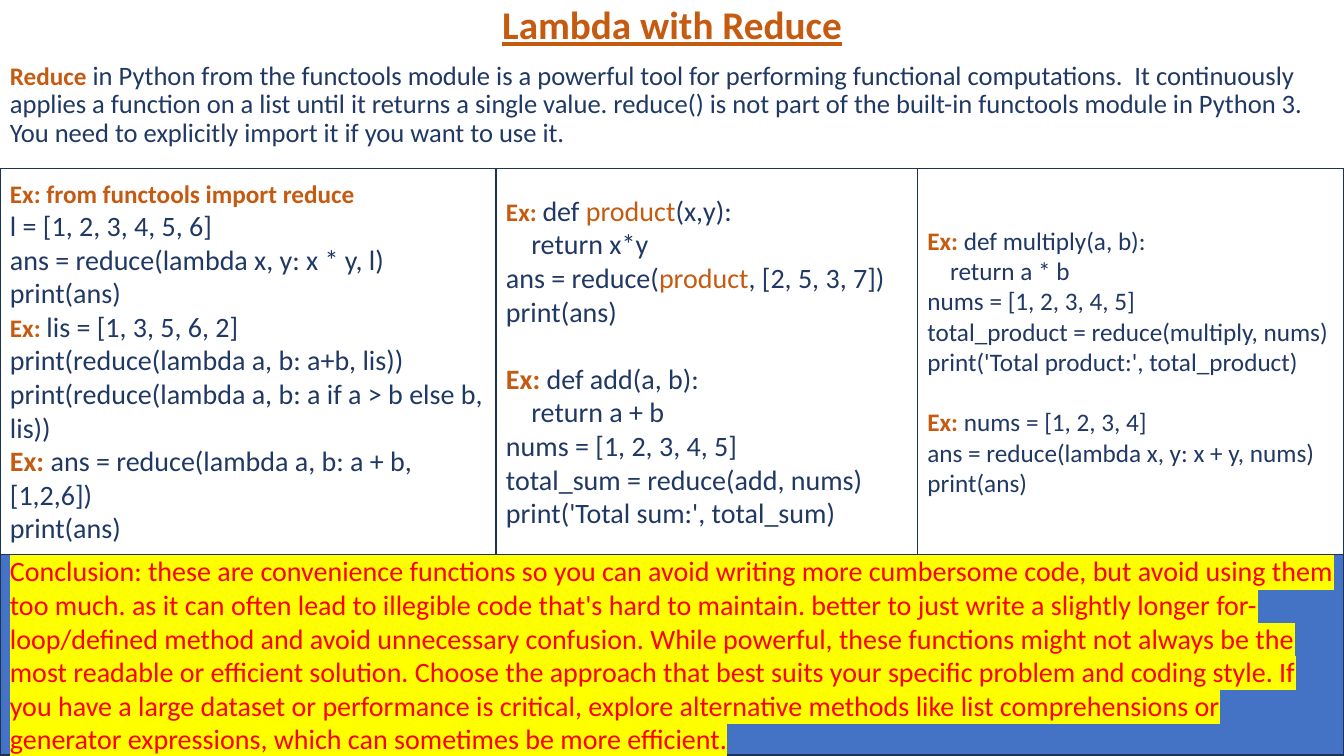
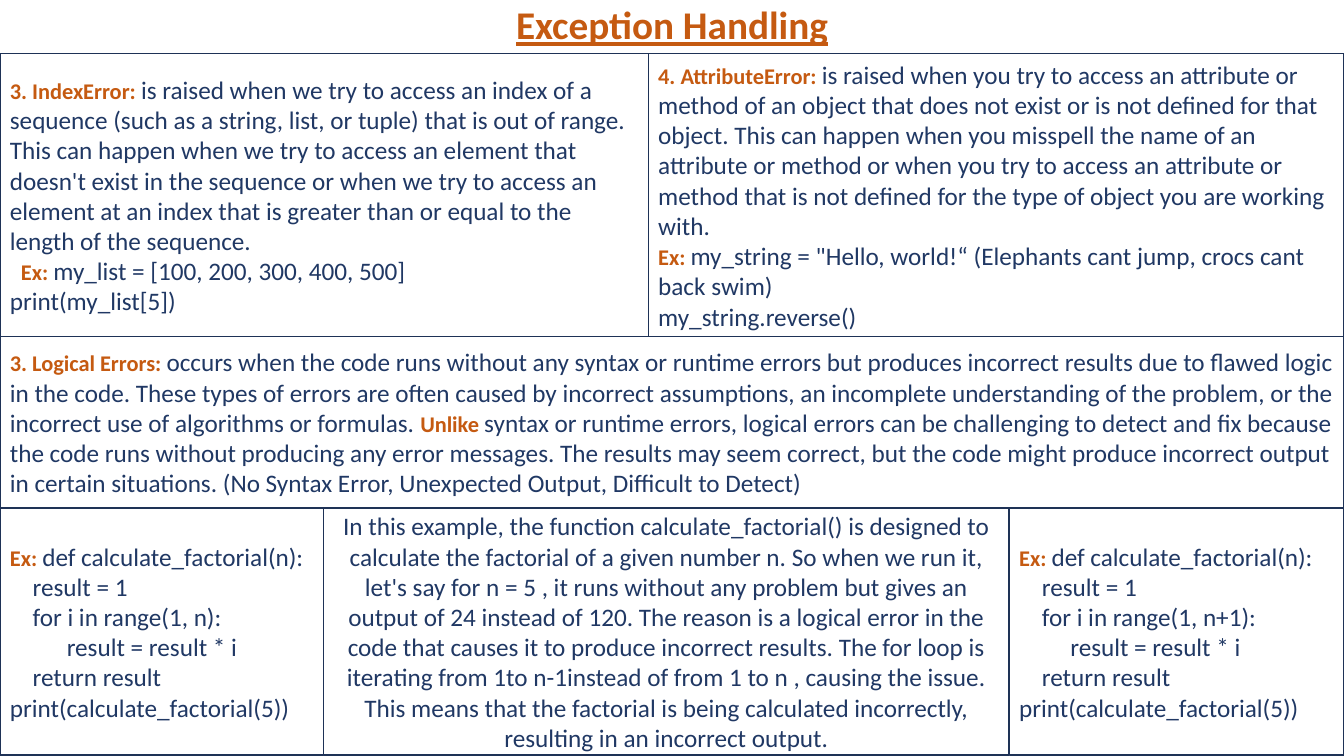
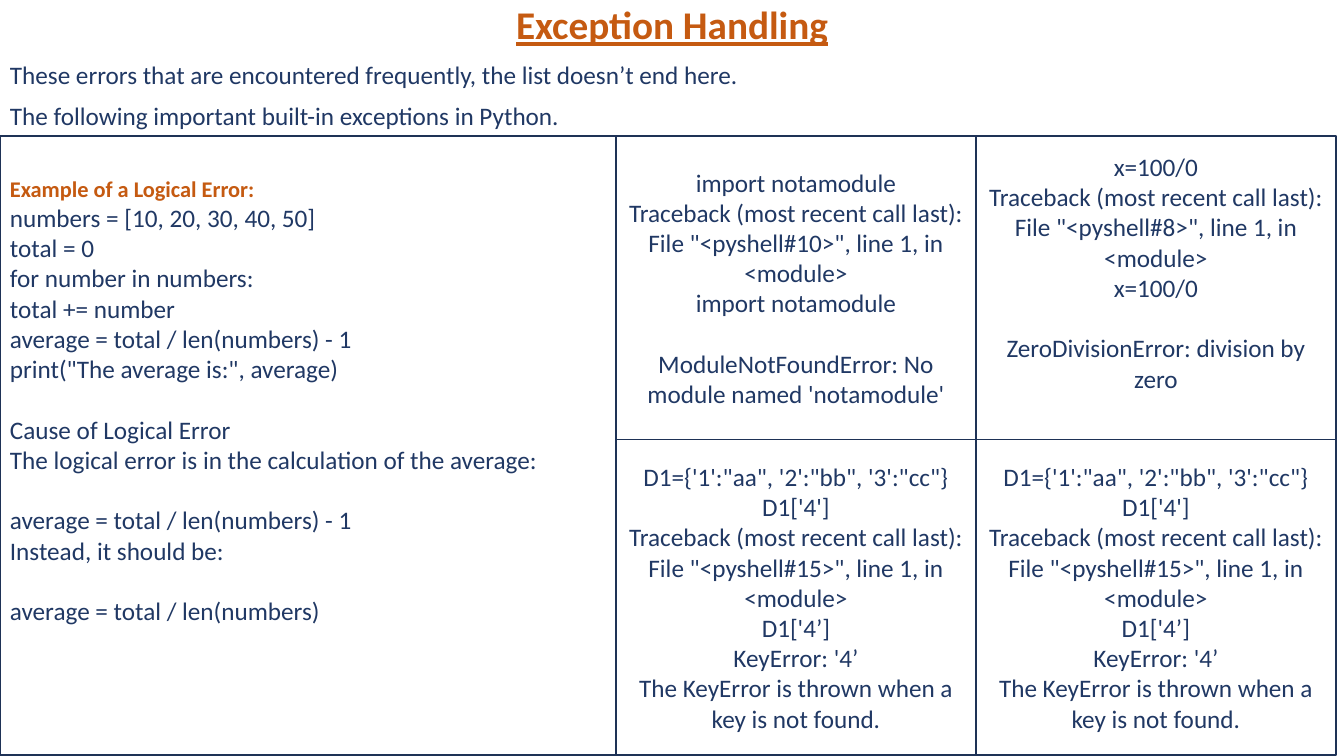
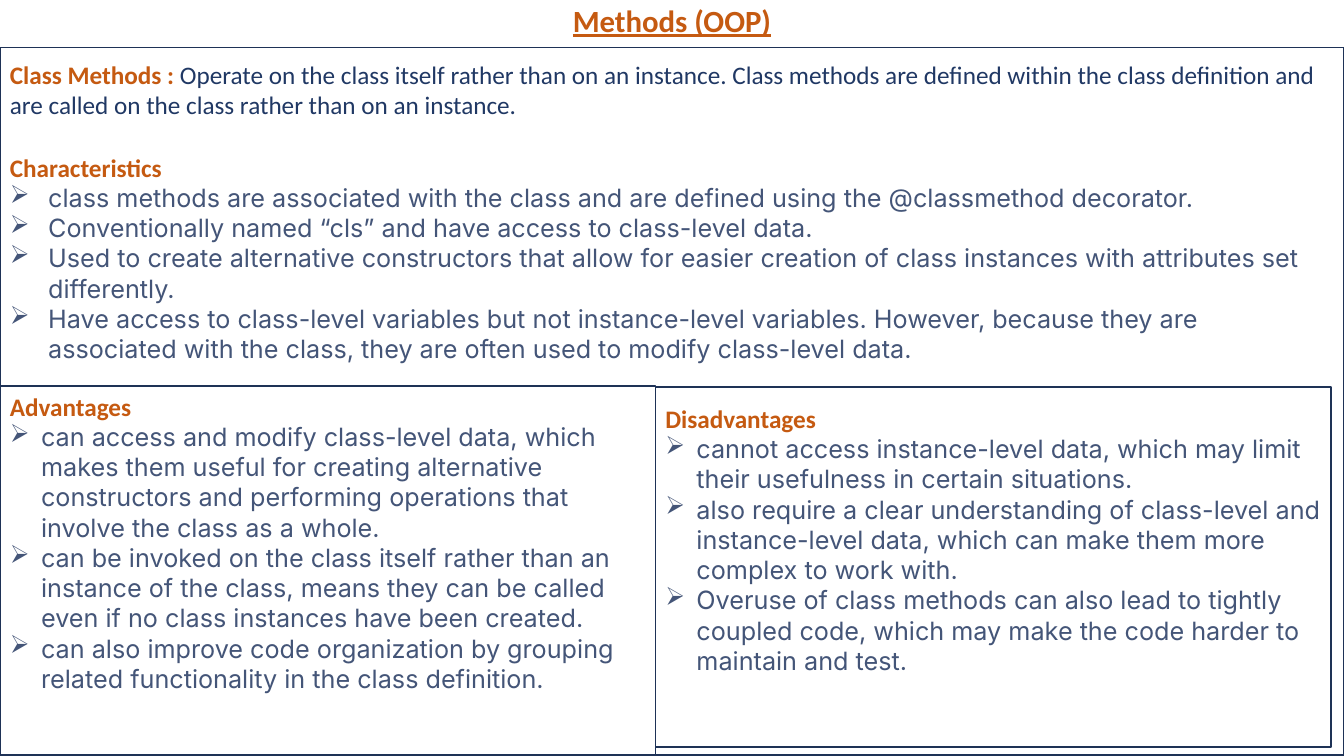
from dataclasses import dataclass

from lxml import etree
from pptx import Presentation
from pptx.dml.color import RGBColor
from pptx.enum.shapes import MSO_SHAPE
from pptx.enum.text import MSO_ANCHOR, PP_ALIGN
from pptx.oxml.ns import qn
from pptx.util import Inches, Pt

RECTANGLE = MSO_SHAPE.RECTANGLE
TOP, MIDDLE = MSO_ANCHOR.TOP, MSO_ANCHOR.MIDDLE
LEFT, CENTER = PP_ALIGN.LEFT, PP_ALIGN.CENTER

WHITE = RGBColor(0xFF, 0xFF, 0xFF)
ORANGE = RGBColor(0xC5, 0x5A, 0x11)
NAVY = RGBColor(0x20, 0x38, 0x64)
SLATE = RGBColor(0x44, 0x55, 0x78)
BORDER = RGBColor(0x1E, 0x32, 0x56)
BLUE = RGBColor(0x44, 0x72, 0xC4)
RED = RGBColor(0xFF, 0x00, 0x00)
YELLOW = RGBColor(0xFF, 0xFF, 0x00)

WIDTH, HEIGHT = 13.33, 7.5
LINE_PITCH = 1.2


@dataclass(frozen=True)
class Style:
    size: int
    color: RGBColor = NAVY
    bold: bool = False
    font: str = "Calibri"
    underline: bool = False
    highlight: RGBColor = None


BODY18, BODY19, BODY20 = Style(18), Style(19), Style(20)
LABEL16, LABEL18, LABEL20 = (Style(size, ORANGE, True) for size in (16, 18, 20))
ACCENT20 = Style(20, ORANGE)
POINT = Style(18, SLATE, font="Inter")
WARNING = Style(20, RED, highlight=YELLOW)
EX16, EX18, EX20 = (("Ex: ", label) for label in (LABEL16, LABEL18, LABEL20))


@dataclass
class Para:
    """Runs of (text, style); gap is the space before in points."""
    runs: list
    gap: float = 0
    indent: float = 0
    bullet: str = ""
    align: int = LEFT
    spacing: float = 1.0


def lines(text, style=BODY18, align=LEFT):
    return [Para([(line, style)], align=align) for line in text.split("\n")]


def after_blank(paras, size=18):
    """Set a group of paragraphs one line of the given size apart."""
    paras[0].gap = size * LINE_PITCH
    return paras


def points(texts, indent):
    return [Para([(text, POINT)], indent=indent, bullet="➢") for text in texts]


def write_run(paragraph, text, style):
    run = paragraph.add_run()
    run.text = text
    font = run.font
    font.name, font.size = style.font, Pt(style.size)
    font.bold, font.underline = style.bold, style.underline
    font.color.rgb = style.color
    if style.highlight is not None:
        highlight = etree.Element(qn("a:highlight"))
        etree.SubElement(highlight, qn("a:srgbClr"), val=str(style.highlight))
        run._r.rPr.find(qn("a:solidFill")).addnext(highlight)


def write_paras(frame, paras):
    frame.word_wrap = True
    for number, para in enumerate(paras):
        paragraph = frame.add_paragraph() if number else frame.paragraphs[0]
        properties = paragraph._p.get_or_add_pPr()
        if para.indent:
            properties.set("marL", str(Inches(para.indent)))
        if para.bullet:
            properties.set("indent", str(-Inches(para.indent)))
            etree.SubElement(properties, qn("a:buChar"), char=para.bullet)
        paragraph.alignment = para.align
        paragraph.line_spacing = para.spacing
        if number and para.gap:
            paragraph.space_before = Pt(para.gap)
        for text, style in para.runs:
            write_run(paragraph, text, style)


def add_header(slide, title, height, intro=(), size=28):
    header = slide.shapes.add_textbox(0, Inches(0.01), Inches(WIDTH), Inches(height))
    title_style = Style(size, ORANGE, True, underline=True)
    write_paras(header.text_frame, [
        Para([(title, title_style)], align=CENTER, spacing=0.9),
        *(Para(runs, gap=10, spacing=0.9) for runs in intro),
    ])


def add_panel(slide, left, top, width, height, paras, inset=None, fill=WHITE):
    """Bordered box; its text is centred vertically unless a top inset is given."""
    panel = slide.shapes.add_shape(
        RECTANGLE, Inches(left), Inches(top), Inches(width), Inches(height))
    panel.shadow.inherit = False
    panel.fill.solid()
    panel.fill.fore_color.rgb = fill
    panel.line.color.rgb = BORDER
    panel.line.width = Pt(1)
    frame = panel.text_frame
    frame.vertical_anchor = MIDDLE
    if inset is not None:
        frame.vertical_anchor = TOP
        frame.margin_top = Inches(inset)
    write_paras(frame, paras)


def add_row(slide, top, height, cells, left=0):
    """Place panels edge to edge from (width, paragraphs) pairs."""
    for width, paras in cells:
        add_panel(slide, left, top, width, height, paras)
        left += width


def build_reduce(slide):
    add_header(slide, "Lambda with Reduce", 1.6, [[
        ("Reduce", LABEL18),
        (" in Python from the functools module is a powerful tool for performing "
         "functional computations.  It continuously applies a function on a list until "
         "it returns a single value. reduce() is not part of the built-in functools "
         "module in Python 3. You need to explicitly import it if you want to use it.",
         BODY19),
    ]])
    lambdas = [
        Para([("Ex: from functools import reduce", LABEL18)]),
        *lines("l = [1, 2, 3, 4, 5, 6]\n"
               "ans = reduce(lambda x, y: x * y, l)\n"
               "print(ans)", BODY20),
        Para([EX18, ("lis = [1, 3, 5, 6, 2]", BODY20)]),
        *lines("print(reduce(lambda a, b: a+b, lis))\n"
               "print(reduce(lambda a, b: a if a > b else b, lis))", BODY20),
        Para([EX20, ("ans = reduce(lambda a, b: a + b, [1,2,6])", BODY20)]),
        *lines("print(ans)", BODY20),
    ]
    named_functions = [
        Para([EX18, ("def ", BODY20), ("product", ACCENT20), ("(x,y):", BODY20)]),
        *lines("    return x*y", BODY20),
        Para([("ans = reduce(", BODY20), ("product", ACCENT20),
              (", [2, 5, 3, 7])", BODY20)]),
        *lines("print(ans)", BODY20),
        *after_blank([Para([EX20, ("def add(a, b):", BODY20)])], 20),
        *lines("    return a + b\n"
               "nums = [1, 2, 3, 4, 5]\n"
               "total_sum = reduce(add, nums)\n"
               "print('Total sum:', total_sum)", BODY20),
    ]
    totals = [
        Para([EX18, ("def multiply(a, b):", BODY18)]),
        *lines("    return a * b\n"
               "nums = [1, 2, 3, 4, 5]\n"
               "total_product = reduce(multiply, nums)\n"
               "print('Total product:', total_product)"),
        *after_blank([Para([EX18, ("nums = [1, 2, 3, 4]", BODY18)])]),
        *lines("ans = reduce(lambda x, y: x + y, nums)\n"
               "print(ans)"),
    ]
    add_row(slide, 1.67, 3.83,
            [(4.92, lambdas), (4.18, named_functions), (4.23, totals)])
    conclusion = lines(
        "Conclusion: these are convenience functions so you can avoid writing more "
        "cumbersome code, but avoid using them too much. as it can often lead to "
        "illegible code that's hard to maintain. better to just write a slightly longer "
        "for-loop/defined method and avoid unnecessary confusion. While powerful, these "
        "functions might not always be the most readable or efficient solution. Choose "
        "the approach that best suits your specific problem and coding style. If you "
        "have a large dataset or performance is critical, explore alternative methods "
        "like list comprehensions or generator expressions, which can sometimes be more "
        "efficient.", WARNING)
    add_panel(slide, 0, 5.5, WIDTH, 1.99, conclusion, fill=BLUE)


def factorial_code(stop, loop_indent):
    return [
        Para([EX16, ("def calculate_factorial(n):", BODY18)]),
        *lines("    result = 1\n"
               f"    for i in range(1, {stop}):\n"
               f"{' ' * loop_indent}result = result * i\n"
               "    return result\n"
               "print(calculate_factorial(5))"),
    ]


def build_error_types(slide):
    add_header(slide, "Exception Handling", 0.52)
    index_error = [
        Para([("3. IndexError: ", LABEL16),
              ("is raised when we try to access an index of a sequence (such as a "
               "string, list, or tuple) that is out of range. This can happen when we "
               "try to access an element that doesn't exist in the sequence or when we "
               "try to access an element at an index that is greater than or equal to "
               "the length of the sequence.", BODY18)]),
        Para([EX16, ("my_list = [100, 200, 300, 400, 500]", BODY18)], indent=0.11),
        *lines("print(my_list[5])"),
    ]
    attribute_error = [
        Para([("4. AttributeError: ", LABEL16),
              ("is raised when you try to access an attribute or method of an object "
               "that does not exist or is not defined for that object. This can happen "
               "when you misspell the name of an attribute or method or when you try to "
               "access an attribute or method that is not defined for the type of object "
               "you are working with.", BODY18)]),
        Para([EX16, ("my_string = \"Hello, world!“ (Elephants cant jump, crocs cant "
                     "back swim)", BODY18)]),
        *lines("my_string.reverse()"),
    ]
    logical_errors = [
        Para([("3. Logical Errors: ", LABEL16),
              ("occurs when the code runs without any syntax or runtime errors but "
               "produces incorrect results due to flawed logic in the code. These types "
               "of errors are often caused by incorrect assumptions, an incomplete "
               "understanding of the problem, or the incorrect use of algorithms or "
               "formulas. ", BODY18),
              ("Unlike ", LABEL16),
              ("syntax or runtime errors, logical errors can be challenging to detect "
               "and fix because the code runs without producing any error messages. The "
               "results may seem correct, but the code might produce incorrect output in "
               "certain situations. (No Syntax Error, Unexpected Output, Difficult to "
               "Detect)", BODY18)]),
    ]
    explanation = lines(
        "In this example, the function calculate_factorial() is designed to calculate "
        "the factorial of a given number n. So when we run it, let's say for n = 5 , it "
        "runs without any problem but gives an output of 24 instead of 120. The reason "
        "is a logical error in the code that causes it to produce incorrect results. The "
        "for loop is iterating from 1to n-1instead of from 1 to n , causing the issue. "
        "This means that the factorial is being calculated incorrectly, resulting in an "
        "incorrect output.", align=CENTER)
    add_row(slide, 0.53, 2.81, [(6.43, index_error), (6.9, attribute_error)])
    add_row(slide, 3.34, 1.7, [(WIDTH, logical_errors)])
    add_row(slide, 5.04, 2.45, [(3.21, factorial_code("n", 10)), (6.8, explanation),
                                (3.32, factorial_code("n+1", 9))])


def build_exceptions(slide):
    add_header(slide, "Exception Handling", 1.33, [
        [("These errors that are encountered frequently, the list doesn’t end here.",
          BODY18)],
        [("The following important built-in exceptions in Python.", BODY18)],
    ])
    logical_error = [
        Para([("Example of a Logical Error:", LABEL16)]),
        *lines("numbers = [10, 20, 30, 40, 50]\n"
               "total = 0\n"
               "for number in numbers:\n"
               "total += number\n"
               "average = total / len(numbers) - 1\n"
               "print(\"The average is:\", average)"),
        *after_blank(lines("Cause of Logical Error\n"
                           "The logical error is in the calculation of the average:")),
        *after_blank(lines("average = total / len(numbers) - 1\n"
                           "Instead, it should be:")),
        *after_blank(lines("average = total / len(numbers)")),
    ]
    missing_module = [
        *lines("import notamodule\n"
               "Traceback (most recent call last):\n"
               "File \"<pyshell#10>\", line 1, in <module>\n"
               "import notamodule", align=CENTER),
        *after_blank(lines("ModuleNotFoundError: No module named 'notamodule'",
                           align=CENTER)),
    ]
    zero_division = [
        *lines("x=100/0\n"
               "Traceback (most recent call last):\n"
               "File \"<pyshell#8>\", line 1, in <module>\n"
               "x=100/0", align=CENTER),
        *after_blank(lines("ZeroDivisionError: division by zero", align=CENTER)),
    ]
    key_error = lines("D1={'1':\"aa\", '2':\"bb\", '3':\"cc\"}\n"
                      "D1['4']\n"
                      "Traceback (most recent call last):\n"
                      "File \"<pyshell#15>\", line 1, in <module>\n"
                      "D1['4’]\n"
                      "KeyError: '4’\n"
                      "The KeyError is thrown when a key is not found.", align=CENTER)
    top, left_width, trace_width, upper, lower = 1.35, 6.11, 3.57, 3.01, 3.13
    add_panel(slide, 0, top, left_width, upper + lower, logical_error, inset=0.39)
    add_panel(slide, left_width, top, trace_width, upper, missing_module)
    add_panel(slide, left_width + trace_width, top, trace_width, upper,
              zero_division, inset=0.15)
    add_row(slide, top + upper, lower, [(trace_width, key_error)] * 2, left_width)


def build_class_methods(slide):
    add_header(slide, "Methods (OOP)", 0.46, size=22)
    overview = [
        Para([("Class Methods : ", LABEL18),
              ("Operate on the class itself rather than on an instance. Class methods "
               "are defined within the class definition and are called on the class "
               "rather than on an instance.", BODY18)]),
        *after_blank(lines("Characteristics", LABEL18), 19),
        *points([
            "class methods are associated with the class and are defined using the "
            "@classmethod decorator.",
            "Conventionally named “cls” and have access to class-level data.",
            "Used to create alternative constructors that allow for easier creation of "
            "class instances with attributes set differently.",
            "Have access to class-level variables but not instance-level variables. "
            "However, because they are associated with the class, they are often used "
            "to modify class-level data.",
        ], 0.38),
    ]
    advantages = lines("Advantages", LABEL18) + points([
        "can access and modify class-level data, which makes them useful for creating "
        "alternative constructors and performing operations that involve the class as a "
        "whole.",
        "can be invoked on the class itself rather than an instance of the class, means "
        "they can be called even if no class instances have been created.",
        "can also improve code organization by grouping related functionality in the "
        "class definition.",
    ], 0.31)
    disadvantages = lines("Disadvantages", LABEL18) + points([
        "cannot access instance-level data, which may limit their usefulness in certain "
        "situations.",
        "also require a clear understanding of class-level and instance-level data, "
        "which can make them more complex to work with.",
        "Overuse of class methods can also lead to tightly coupled code, which may make "
        "the code harder to maintain and test.",
    ], 0.31)
    add_panel(slide, 0, 0.47, WIDTH, 7.02, overview, inset=0.12)
    add_panel(slide, 6.5, 3.84, 6.7, 3.57, disadvantages, inset=0.16)
    add_panel(slide, 0, 3.83, 6.5, 3.66, advantages, inset=0.05)


def main():
    deck = Presentation()
    deck.slide_width, deck.slide_height = Inches(WIDTH), Inches(HEIGHT)
    blank = deck.slide_layouts[6]
    for build in (build_reduce, build_error_types, build_exceptions, build_class_methods):
        build(deck.slides.add_slide(blank))
    deck.save("out.pptx")


if __name__ == "__main__":
    main()
